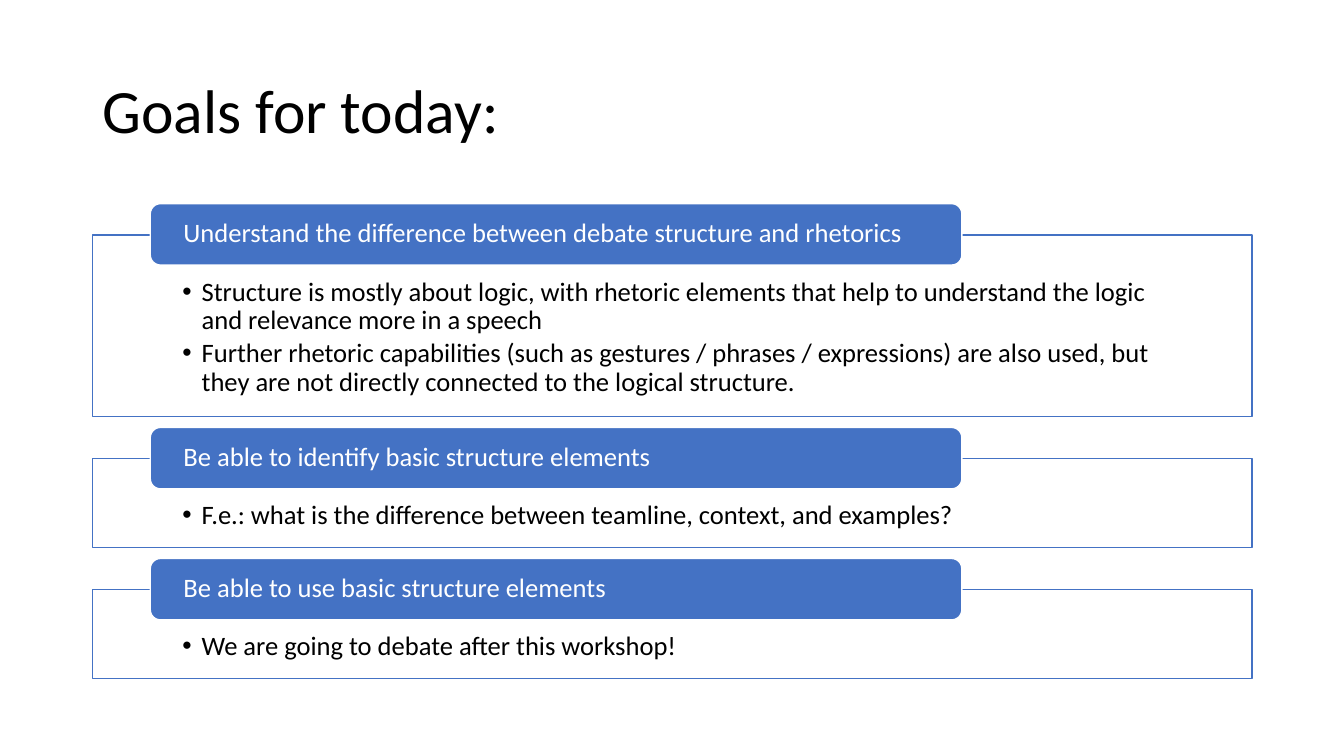
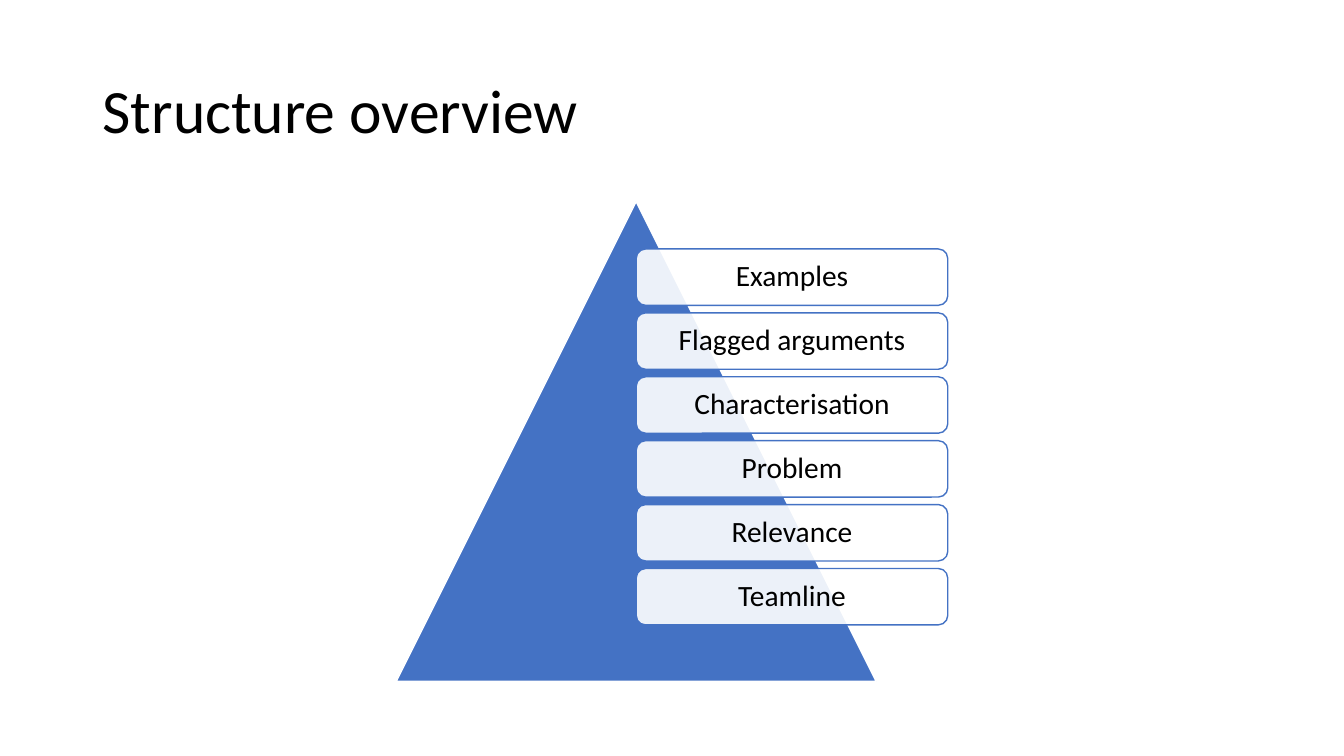
from dataclasses import dataclass

from lxml import etree
from pptx import Presentation
from pptx.dml.color import RGBColor
from pptx.enum.shapes import MSO_SHAPE
from pptx.enum.text import MSO_ANCHOR, PP_ALIGN
from pptx.oxml.ns import qn
from pptx.util import Inches, Pt

RECTANGLE = MSO_SHAPE.RECTANGLE
ROUNDED = MSO_SHAPE.ROUNDED_RECTANGLE
TRIANGLE = MSO_SHAPE.ISOSCELES_TRIANGLE
TOP = MSO_ANCHOR.TOP
MIDDLE = MSO_ANCHOR.MIDDLE
LEFT = PP_ALIGN.LEFT
CENTER = PP_ALIGN.CENTER


@dataclass(frozen=True)
class Theme:
    font: str = "Calibri"
    black: RGBColor = RGBColor(0, 0, 0)
    white: RGBColor = RGBColor(255, 255, 255)
    blue: RGBColor = RGBColor(0x44, 0x72, 0xC4)
    title_size: int = 44
    goal_size: int = 19
    layer_size: int = 21
    line_width: int = 1
    line_spacing: float = 0.9
    opacity: int = 90


THEME = Theme()

CONTENT_LEFT = 0.92
CONTENT_WIDTH = 11.5

GOALS = [
    ("Understand the difference between debate structure and rhetorics", 1.8, [
        "Structure is mostly about logic, with rhetoric elements that help to "
        "understand the logic and relevance more in a speech",
        "Further rhetoric capabilities (such as gestures / phrases / expressions) "
        "are also used, but they are not directly connected to the logical structure.",
    ]),
    ("Be able to identify basic structure elements", 0.88, [
        "F.e.: what is the difference between teamline, context, and examples?",
    ]),
    ("Be able to use basic structure elements", 0.88, [
        "We are going to debate after this workshop!",
    ]),
]

LAYERS = ["Examples", "Flagged arguments", "Characterisation",
          "Problem", "Relevance", "Teamline"]


def set_frame(box, insets, anchor):
    frame = box.text_frame
    frame.word_wrap = True
    frame.vertical_anchor = anchor
    (frame.margin_left, frame.margin_top,
     frame.margin_right, frame.margin_bottom) = map(Inches, insets)


def write_paragraph(para, text, size, color, align=LEFT):
    para.alignment = align
    para.line_spacing = THEME.line_spacing
    span = para.add_run()
    span.text = text
    span.font.name = THEME.font
    span.font.size = Pt(size)
    span.font.color.rgb = color


def add_bullet(para, indent):
    properties = para._p.get_or_add_pPr()
    properties.set("marL", str(Inches(indent)))
    properties.set("indent", str(-Inches(indent)))
    etree.SubElement(properties, qn("a:buFont")).set("typeface", "Arial")
    etree.SubElement(properties, qn("a:buChar")).set("char", "•")


def add_box(page, kind, bounds, fill, line):
    box = page.shapes.add_shape(kind, *map(Inches, bounds))
    box.shadow.inherit = False
    box.fill.solid()
    box.fill.fore_color.rgb = fill
    box.line.color.rgb = line
    box.line.width = Pt(THEME.line_width)
    return box


def add_translucent_box(page, kind, bounds):
    box = add_box(page, kind, bounds, THEME.white, THEME.blue)
    color = box._element.spPr.find(qn("a:solidFill")).find(qn("a:srgbClr"))
    etree.SubElement(color, qn("a:alpha")).set("val", str(THEME.opacity * 1000))
    return box


def add_page(deck, title):
    page = deck.slides.add_slide(deck.slide_layouts[6])
    box = page.shapes.add_textbox(
        *map(Inches, (CONTENT_LEFT, 0.4, CONTENT_WIDTH, 1.45)))
    set_frame(box, (0.1, 0.05, 0.1, 0.05), MIDDLE)
    write_paragraph(box.text_frame.paragraphs[0], title, THEME.title_size, THEME.black)
    return page


def add_goal(page, top, height, heading, details):
    panel = add_translucent_box(
        page, RECTANGLE, (CONTENT_LEFT, top, CONTENT_WIDTH, height))
    set_frame(panel, (0.89, 0.43, 0.89, 0.15), TOP)
    frame = panel.text_frame
    for index, detail in enumerate(details):
        para = frame.add_paragraph() if index else frame.paragraphs[0]
        write_paragraph(para, detail, THEME.goal_size, THEME.black)
        para.space_after = Pt(3)
        add_bullet(para, 0.19)

    tab = add_box(page, ROUNDED, (1.49, top - 0.31, 8.05, 0.61),
                  THEME.blue, THEME.white)
    set_frame(tab, (0.3, 0, 0.3, 0), MIDDLE)
    write_paragraph(tab.text_frame.paragraphs[0], heading,
                    THEME.goal_size, THEME.white)


def add_layer(page, top, label):
    bar = add_translucent_box(page, ROUNDED, (6.31, top, 3.09, 0.56))
    set_frame(bar, (0.09, 0.09, 0.09, 0.09), MIDDLE)
    write_paragraph(bar.text_frame.paragraphs[0], label,
                    THEME.layer_size, THEME.black, CENTER)


def build_goals(deck):
    page = add_page(deck, "Goals for today:")
    top, gap = 2.33, 0.42
    for heading, height, details in GOALS:
        add_goal(page, top, height, heading, details)
        top += height + gap


def build_overview(deck):
    page = add_page(deck, "Structure overview")
    add_box(page, TRIANGLE, (3.93, 2, 4.76, 4.76), THEME.blue, THEME.white)
    first_top, last_top = 2.47, 5.64
    pitch = (last_top - first_top) / (len(LAYERS) - 1)
    for index, label in enumerate(LAYERS):
        add_layer(page, first_top + index * pitch, label)


def main():
    deck = Presentation()
    deck.slide_width = Inches(13.33)
    deck.slide_height = Inches(7.5)
    build_goals(deck)
    build_overview(deck)
    deck.save("out.pptx")


if __name__ == "__main__":
    main()
